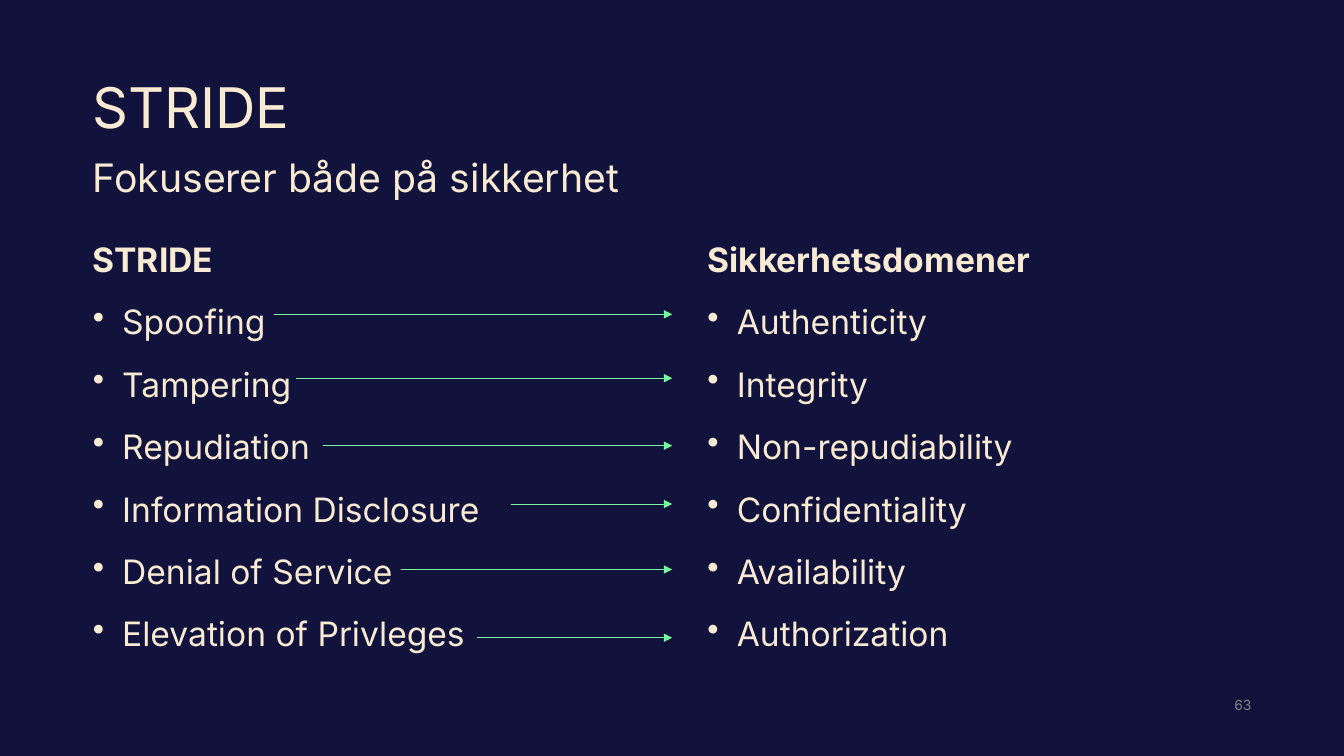
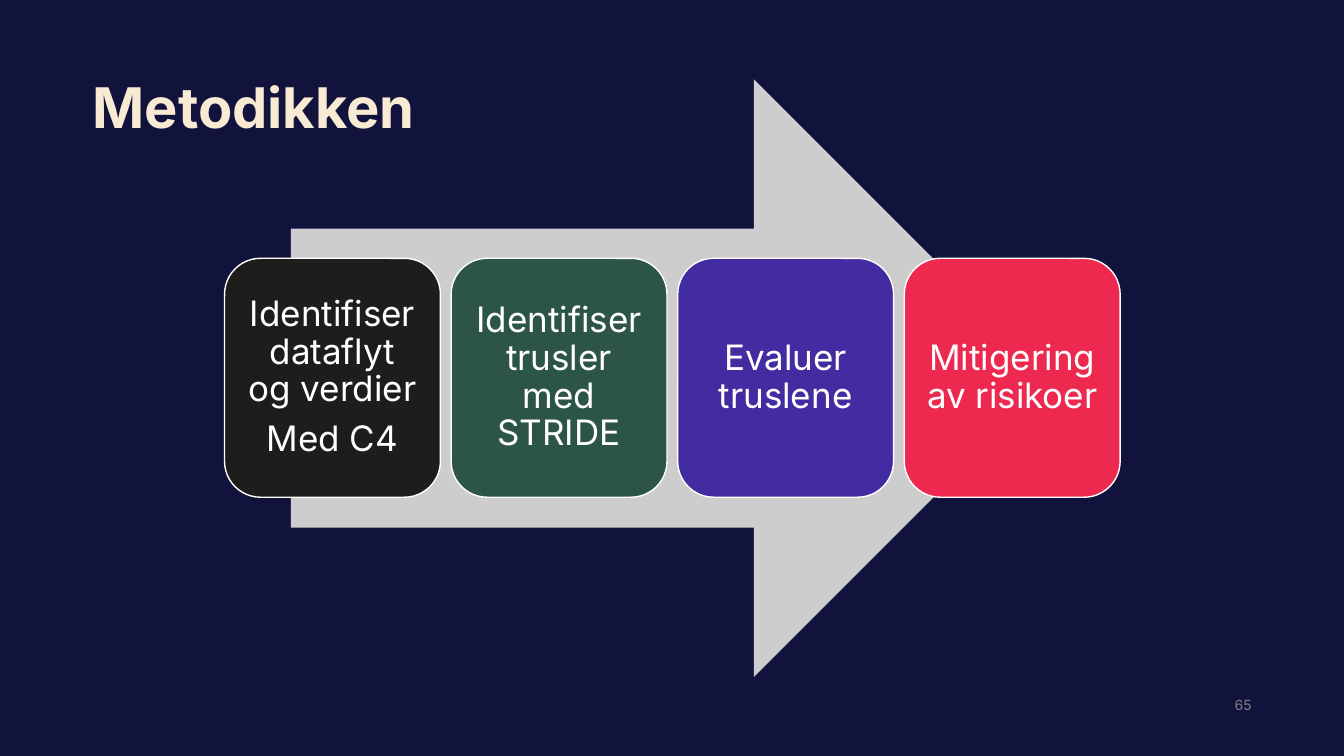
from lxml.etree import SubElement
from pptx import Presentation
from pptx.dml.color import RGBColor
from pptx.enum.shapes import MSO_CONNECTOR as Connector, MSO_SHAPE as Shape
from pptx.enum.text import MSO_ANCHOR as Anchor, PP_ALIGN as Align
from pptx.oxml.ns import qn
from pptx.util import Cm, Pt

COLORS = {
    "background": "11133C", "cream": "F9EAD3", "grey": "808080", "white": "FFFFFF",
    "green": "78FE9C", "big_arrow": "CDCDCD", "black": "1D1D1B", "forest": "2D5545",
    "violet": "432BA2", "red": "EE2950",
}
COLORS = {name: RGBColor.from_string(value) for name, value in COLORS.items()}
FONT = "Inter"
MARGIN = 2.34
CONTENT_WIDTH = 29.2


def write(shape, lines, size, color="cream", spacing=1.2, gap=10, inset=0,
          align=Align.LEFT, anchor=Anchor.TOP, bold=False, bulleted=False):
    """Fill a shape with paragraphs; bulleted turns all but the first into bullets."""
    frame = shape.text_frame
    frame.word_wrap = True
    frame.vertical_anchor = anchor
    frame.margin_left = frame.margin_right = Cm(inset)
    frame.margin_top = frame.margin_bottom = Cm(inset)
    for index, line in enumerate(lines):
        paragraph = frame.add_paragraph() if index else frame.paragraphs[0]
        paragraph.text = line
        paragraph.alignment = align
        paragraph.line_spacing = spacing
        if index:
            paragraph.space_before = Pt(gap)
        if bulleted and index:
            properties = paragraph._p.get_or_add_pPr()
            properties.set("marL", str(Cm(0.74)))
            properties.set("indent", str(Cm(-0.74)))
            SubElement(properties, qn("a:buChar"), char="•")
        font = paragraph.font
        font.name = FONT
        font.size = Pt(size)
        font.bold = bold or (bulleted and index == 0)
        font.color.rgb = COLORS[color]


def add_page(title, number, bold=False):
    slide = presentation.slides.add_slide(presentation.slide_layouts[6])
    write(slide.shapes.add_textbox(Cm(29.36), Cm(17.22), Cm(2.18), Cm(1.09)),
          [number], 10, "grey", spacing=1, align=Align.RIGHT, anchor=Anchor.MIDDLE)
    write(slide.shapes.add_textbox(Cm(MARGIN), Cm(2.03), Cm(CONTENT_WIDTH), Cm(3.28)),
          [title], 40, spacing=0.9, bold=bold)
    return slide


presentation = Presentation()
presentation.slide_width = Cm(33.87)
presentation.slide_height = Cm(19.05)
background = presentation.slide_master.background.fill
background.solid()
background.fore_color.rgb = COLORS["background"]

# STRIDE threats and the security domains they affect
slide = add_page("STRIDE", "63")
write(slide.shapes.add_textbox(Cm(MARGIN), Cm(3.63), Cm(CONTENT_WIDTH), Cm(1.68)),
      ["Fokuserer både på sikkerhet"], 28)

columns = [
    (MARGIN, ["STRIDE", "Spoofing", "Tampering", "Repudiation", "Information Disclosure",
              "Denial of Service", "Elevation of Privleges"]),
    (17.83, ["Sikkerhetsdomener", "Authenticity", "Integrity", "Non-repudiability",
             "Confidentiality", "Availability", "Authorization"]),
]
for left, lines in columns:
    write(slide.shapes.add_textbox(Cm(left), Cm(5.82), Cm(13.7), Cm(11.4)),
          lines, 24, bulleted=True)

arrow_end = Cm(16.94)
arrow_starts = [(6.91, 7.92), (7.45, 9.53), (8.13, 11.23),
                (12.88, 12.7), (10.11, 14.35), (12.01, 16.07)]
for left, height in arrow_starts:
    arrow = slide.shapes.add_connector(
        Connector.STRAIGHT, Cm(left), Cm(height), arrow_end, Cm(height))
    arrow.line.color.rgb = COLORS["green"]
    arrow.line.width = Pt(0.5)
    SubElement(arrow.line._get_or_add_ln(), qn("a:tailEnd"), type="triangle")
    SubElement(arrow._element.spPr, qn("a:effectLst"))

# The four steps of the method
slide = add_page("Metodikken", "65", bold=True)
big_arrow = slide.shapes.add_shape(
    Shape.RIGHT_ARROW, Cm(7.33), Cm(2), Cm(19.2), Cm(15.06))
big_arrow.shadow.inherit = False
big_arrow.fill.solid()
big_arrow.fill.fore_color.rgb = COLORS["big_arrow"]
big_arrow.line.fill.background()

steps = [
    ("black", ["Identifiser dataflyt og verdier", "Med C4"]),
    ("forest", ["Identifiser trusler med STRIDE"]),
    ("violet", ["Evaluer truslene"]),
    ("red", ["Mitigering av risikoer"]),
]
card_width, card_gap = 5.44, 0.27
for index, (color, lines) in enumerate(steps):
    left = 5.66 + index * (card_width + card_gap)
    card = slide.shapes.add_shape(
        Shape.ROUNDED_RECTANGLE, Cm(left), Cm(6.51), Cm(card_width), Cm(6.02))
    card.shadow.inherit = False
    card.fill.solid()
    card.fill.fore_color.rgb = COLORS[color]
    card.line.color.rgb = COLORS["white"]
    card.line.width = Pt(1)
    write(card, lines, 25, "white", spacing=0.9, gap=8.75, inset=0.25,
          align=Align.CENTER, anchor=Anchor.MIDDLE)

presentation.save("out.pptx")
